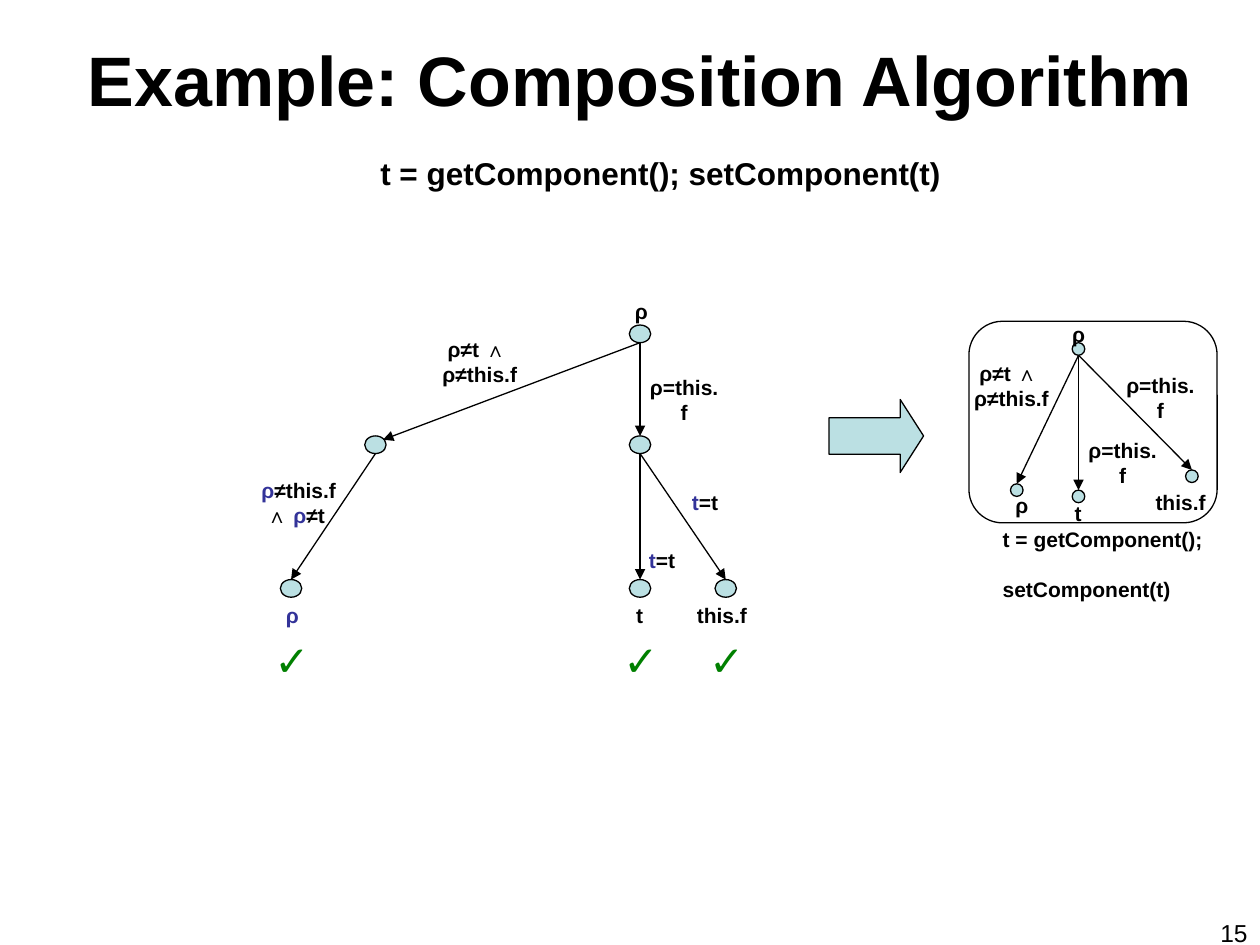
from copy import deepcopy

from lxml.etree import SubElement
from pptx import Presentation
from pptx.dml.color import RGBColor
from pptx.enum.shapes import MSO_CONNECTOR as Link, MSO_SHAPE as Shape
from pptx.enum.text import MSO_ANCHOR as Anchor, PP_ALIGN as Align
from pptx.oxml.ns import qn
from pptx.util import Inches, Pt

BLACK, INDIGO, GREEN, AQUA = "000000", "333399", "008000", "BBE0E3"
RHO, T, FIELD = [("ρ", BLACK)], [("t", BLACK)], [("this.f", BLACK)]
IS_FIELD = [("ρ=this.f", BLACK)]
NEITHER = [("ρ≠t ∧\n ρ≠this.f", BLACK)]
SAME_T = [("t", INDIGO), ("=t", BLACK)]
NEITHER_AGAIN = [("ρ", INDIGO), ("≠this.f\n∧ ", BLACK), ("ρ", INDIGO), ("≠t ", BLACK)]


def color(hex_value):
    """Turn a hex string into a colour."""
    return RGBColor.from_string(hex_value)


def write(frame, pieces, size=12, align=Align.CENTER, bold=True, wrap=False):
    """Fill a text frame with coloured runs, breaking lines at newlines."""
    frame.word_wrap = wrap
    paragraph = frame.paragraphs[0]
    paragraph.alignment = align
    for text, ink in pieces:
        for index, line in enumerate(text.split("\n")):
            if index:
                paragraph.add_line_break()
                paragraph._p[-1].append(deepcopy(run._r.rPr))
            run = paragraph.add_run()
            run.text = line
            run.font.name, run.font.size, run.font.bold = "Arial", Pt(size), bold
            run.font.color.rgb = color(ink)


def add_label(shapes, left, top, width, height, pieces, **style):
    """Place a text box."""
    box = shapes.add_textbox(Inches(left), Inches(top), Inches(width), Inches(height))
    write(box.text_frame, pieces, **style)


def add_outlined(shapes, kind, left, top, width, height, fill=AQUA):
    """Place a thinly outlined shape, hollow when fill is None."""
    shape = shapes.add_shape(kind, Inches(left), Inches(top), Inches(width), Inches(height))
    shape.shadow.inherit = False
    if fill:
        shape.fill.solid()
        shape.fill.fore_color.rgb = color(fill)
    else:
        shape.fill.background()
    shape.line.color.rgb = color(BLACK)
    shape.line.width = Pt(0.75)
    return shape


def add_edge(shapes, start, end):
    """Draw an arrow between two points."""
    edge = shapes.add_connector(Link.STRAIGHT, *map(Inches, start + end))
    edge.line.color.rgb = color(BLACK)
    edge.line.width = Pt(0.75)
    SubElement(edge.line._get_or_add_ln(), qn("a:tailEnd"), type="triangle")
    SubElement(edge._element.spPr, qn("a:effectLst"))


def add_tree(shapes, left, top, node_size, nodes, edges, labels):
    """Draw nodes, downward edges and labels relative to a corner."""
    width, height = node_size
    centres = {name: (left + x, top + y) for name, (x, y) in nodes.items()}
    for x, y in centres.values():
        add_outlined(shapes, Shape.OVAL, x - width / 2, y - height / 2, width, height)
    for parent, child in edges:
        (x1, y1), (x2, y2) = centres[parent], centres[child]
        end = (x2 + 0.06, y2 - 0.04) if child == "other" else (x2, y2 - height / 2)
        add_edge(shapes, (x1, y1 + height / 2), end)
    for x, y, label_width, label_height, pieces in labels:
        add_label(shapes, left + x, top + y, label_width, label_height, pieces,
                  wrap=pieces is IS_FIELD)


def add_composition(shapes, left, top):
    """Draw the two-level tree with its check marks."""
    nodes = {"root": (3.13, 0.35), "other": (1.03, 1.23), "field": (3.13, 1.23),
             "rho": (0.36, 2.37), "t": (3.13, 2.37), "this.f": (3.81, 2.37)}
    edges = [("root", "other"), ("root", "field"), ("other", "rho"),
             ("field", "t"), ("field", "this.f")]
    labels = [(2.99, 0.02, 0.29, 0.3, RHO), (3.09, 0.62, 0.78, 0.3, IS_FIELD),
              (1.4, 0.32, 0.87, 0.5, NEITHER), (0.01, 1.44, 0.82, 0.5, NEITHER_AGAIN),
              (3.1, 2, 0.41, 0.3, SAME_T), (3.44, 1.54, 0.41, 0.3, SAME_T),
              (0.22, 2.43, 0.29, 0.3, [("ρ", INDIGO)]),
              (3, 2.43, 0.25, 0.3, T), (3.48, 2.43, 0.6, 0.3, FIELD)]
    add_tree(shapes, left, top, (0.17, 0.14), nodes, edges, labels)
    for leaf in ("rho", "t", "this.f"):
        add_label(shapes, left + nodes[leaf][0] - 0.23, top + 2.69, 0.46, 0.5,
                  [("✓", GREEN)], size=24, align=Align.LEFT)


def add_summary(shapes, left, top, width, height):
    """Draw the composed tree in a rounded frame with its caption and arrow."""
    nodes = {"root": (0.87, 0.22), "rho": (0.38, 1.34),
             "t": (0.87, 1.39), "this.f": (1.77, 1.23)}
    edges = [("root", leaf) for leaf in ("rho", "t", "this.f")]
    labels = [(0.72, -0.05, 0.29, 0.3, RHO), (0.27, 1.31, 0.29, 0.3, RHO),
              (0.74, 1.37, 0.25, 0.3, T), (1.38, 1.29, 0.6, 0.3, FIELD),
              (0.83, 0.87, 0.78, 0.3, IS_FIELD), (1.13, 0.36, 0.78, 0.3, IS_FIELD),
              (-0.12, 0.26, 0.87, 0.5, NEITHER)]
    add_tree(shapes, left, top, (0.1, 0.1), nodes, edges, labels)
    add_outlined(shapes, Shape.ROUNDED_RECTANGLE, left, top, width, height, fill=None)
    add_label(shapes, left + 0.17, top + height - 0.02, 1.83, 0.5,
              [("t = getComponent(); \nsetComponent(t)", BLACK)], align=Align.LEFT)
    arrow = add_outlined(shapes, Shape.RIGHT_ARROW, left - 1.11, top + 0.62, 0.75, 0.58)
    arrow.adjustments[1] = 0.32


def add_heading(slide, left, top, width, height):
    """Place the title and the statement under it."""
    title = slide.shapes.title
    title.left, title.top = Inches(left), Inches(top)
    title.width, title.height = Inches(width), Inches(height)
    title.text_frame.vertical_anchor = Anchor.MIDDLE
    write(title.text_frame, [("Example: Composition Algorithm", BLACK)], size=40, wrap=True)
    add_label(slide.shapes, left + 2.59, top + height + 0.01, 5, 0.4,
              [("t = getComponent(); setComponent(t)", BLACK)],
              size=18, align=Align.LEFT, wrap=True)


def main():
    """Build the slide and save it."""
    deck = Presentation()
    deck.slide_width, deck.slide_height = Inches(10), Inches(7.5)
    slide = deck.slides.add_slide(deck.slide_layouts[5])
    add_heading(slide, 0.33, 0.08, 9.5, 1.08)
    add_composition(slide.shapes, 1.95, 2.3)
    add_summary(slide.shapes.add_group_shape().shapes, 7.69, 2.55, 1.97, 1.6)
    add_label(slide.shapes, 7.67, 7.24, 2.33, 0.52, [("15", BLACK)],
              size=14, align=Align.RIGHT, bold=False, wrap=True)
    deck.save("out.pptx")


if __name__ == "__main__":
    main()
